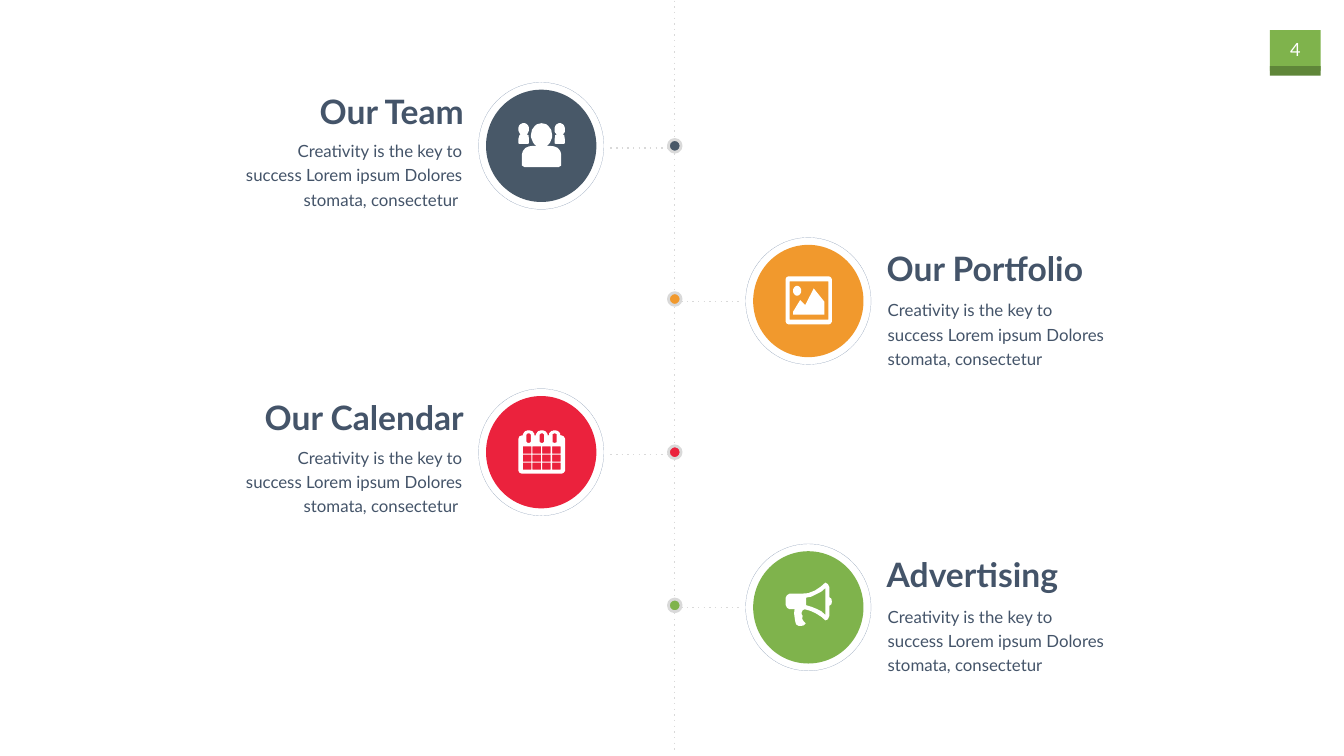
"""Build a four-stop timeline slide with icon discs on both sides of a dotted axis."""
from math import cos, radians, sin

from lxml.etree import SubElement
from pptx import Presentation
from pptx.dml.color import RGBColor
from pptx.enum.dml import MSO_LINE
from pptx.enum.shapes import MSO_CONNECTOR, MSO_SHAPE
from pptx.enum.text import PP_ALIGN
from pptx.oxml.ns import qn
from pptx.util import Cm, Pt

FONT = "Lato"
INK, PALE, EDGE, WHITE = "445469", "D9D9D9", "8497B0", "FFFFFF"
GREEN, MOSS = "7FB34C", "5F8639"
BLURB = "Creativity is the key to success Lorem ipsum Dolores stomata, consectetur"

STOPS = [
    {"title": "Our Team", "blurb": BLURB + " ", "hue": "485868", "wide": 8.48, "icon": "team"},
    {"title": "Our Portfolio", "blurb": BLURB, "hue": "F1992D", "wide": 11.23, "icon": "photo"},
    {"title": "Our Calendar", "blurb": BLURB + " ", "hue": "EB223D", "wide": 11.35, "icon": "dates"},
    {"title": "Advertising", "blurb": BLURB, "hue": GREEN, "wide": 9.93, "icon": "horn"},
]
SIDES = [
    {"sign": -1, "align": PP_ALIGN.RIGHT, "drop": 0, "head": (10.12, -3.02), "body": (10.2, -0.7)},
    {"sign": 1, "align": PP_ALIGN.LEFT, "drop": 0.1, "head": (10.17, -2.92), "body": (10.22, -0.5)},
]
ICON_TOPS = {"team": -1.14, "photo": -1.24, "dates": -1.1, "horn": -1.25}
WIDE, HIGH = 67.72, 38.1
AXIS, FIRST, STEP, REACH = 34, 7.35, 7.72, 6.73
UNIT = 0.0254


def arc(x, y, rx, ry, start=0, end=360):
    """Return points along an ellipse, clockwise from the right."""
    turns = [radians(start + (end - start) * i / 24) for i in range(25)]
    return [(x + rx * cos(t), y + ry * sin(t)) for t in turns]


def box(x, y, w, h):
    """Return the corners of a rectangle."""
    return [(x, y), (x + w, y), (x + w, y + h), (x, y + h)]


def soft(x, y, w, h, r):
    """Return the outline of a rectangle with round corners."""
    spots = [(x + w - r, y + h - r, 0), (x + r, y + h - r, 90),
             (x + r, y + r, 180), (x + w - r, y + r, 270)]
    return [p for cx, cy, a in spots for p in arc(cx, cy, r, r, a, a + 90)]


def person(x, rx, ry, half):
    """Return a head with mirrored shoulders below it."""
    right = [(x + dx, y) for dx, y in half]
    left = [(x - dx, y) for dx, y in reversed(half)]
    return arc(x, ry, rx, ry, 120, 420) + right + left


SMALL = [(6, 22), (9, 24), (10.5, 31), (10.5, 40), (8, 41)]
LARGE = [(18, 45), (25, 46), (32, 49), (37, 55), (39, 62), (39, 84), (34, 87)]
TABS = (20.5, 46.5, 72)
ICONS = {
    "team": [person(10.5, 10.5, 12, SMALL), person(46, 21, 24, LARGE),
             person(82, 10.5, 12, SMALL)],
    "photo": [soft(0, 0, 92, 95, 7), box(8, 10, 77, 76), arc(23, 28.5, 8, 9.5),
              [(77, 76), (15, 76), (15, 70), (29, 47), (39, 57), (56, 24), (77, 50)]],
    "dates": [[(0, 17), (2, 12), (7, 10)]
              + [p for x in TABS for p in arc(x, 10, 11.5, 10, 180, 360)]
              + [(86, 10), (90, 12), (93, 17), (93, 80), (90, 84), (86, 86),
                 (7, 86), (2, 84), (0, 80)]]
             + [soft(x - 4.5, 6, 9, 19, 4) for x in TABS]
             + [box(9 + 19.2 * i, 32 + 16 * j, 17, 14) for i in range(4) for j in range(3)],
    "horn": [[(92, 38), (91, 43), (87, 46), (87, 66), (84, 73), (79, 75), (71, 68), (60, 61),
              (49, 56), (38, 53), (34, 55), (32, 59), (32, 63), (34, 66), (33, 71), (34, 74),
              (37, 78), (40, 81), (36, 85), (31, 86), (26, 86), (21, 83), (19, 76), (18, 69),
              (17, 61), (18, 53), (8, 53), (3, 50), (0, 44), (0, 31), (3, 25), (8, 22),
              (33, 22), (45, 21), (58, 16), (70, 8), (79, 0), (84, 3), (87, 9), (87, 29),
              (91, 32)],
             [(79, 11), (71, 18), (61, 23), (51, 28), (41, 30), (41, 45), (51, 48), (61, 52),
              (71, 57), (79, 64)]],
}


def tint(code):
    """Turn a hex string into a colour."""
    return RGBColor.from_string(code)


def paint(shape, fill=None, line=None, width=0):
    """Set fill and line of a shape and drop its shadow."""
    shape.shadow.inherit = False
    if fill:
        shape.fill.solid()
        shape.fill.fore_color.rgb = tint(fill)
    else:
        shape.fill.background()
    if line:
        shape.line.color.rgb = tint(line)
        shape.line.width = Pt(width)
    else:
        shape.line.fill.background()
    return shape


def rect(slide, x, y, w, h, fill):
    """Add a plain rectangle."""
    paint(slide.shapes.add_shape(MSO_SHAPE.RECTANGLE, Cm(x), Cm(y), Cm(w), Cm(h)), fill)


def oval(slide, x, y, w, h, *look):
    """Add an ellipse around a centre."""
    return paint(slide.shapes.add_shape(
        MSO_SHAPE.OVAL, Cm(x - w / 2), Cm(y - h / 2), Cm(w), Cm(h)), *look)


def dots(slide, x1, y1, x2, y2):
    """Add a pale dotted line."""
    rule = slide.shapes.add_connector(MSO_CONNECTOR.STRAIGHT, Cm(x1), Cm(y1), Cm(x2), Cm(y2))
    rule.line.color.rgb = tint(PALE)
    rule.line.width = Pt(2)
    props = rule._element.spPr
    SubElement(props.find(qn("a:ln")), qn("a:prstDash"), val="dot")
    SubElement(props, qn("a:effectLst"))


def write(slide, text, x, y, w, h, size, hue, align, bold=False, wrap=False, gap=None):
    """Add a one-paragraph text box."""
    frame = slide.shapes.add_textbox(Cm(x), Cm(y), Cm(w), Cm(h)).text_frame
    frame.word_wrap = wrap
    frame.margin_left = frame.margin_right = Cm(0.51)
    frame.margin_top = frame.margin_bottom = Cm(0.25)
    para = frame.paragraphs[0]
    para.text, para.alignment, para.line_spacing = text, align, gap
    para.font.name, para.font.size, para.font.bold = FONT, Pt(size), bold
    para.font.color.rgb = tint(hue)


def draw(slide, loops, x, y):
    """Add a white icon made of closed loops."""
    pen = slide.shapes.build_freeform(*loops[0][0], scale=Cm(1) * UNIT)
    pen.add_line_segments(loops[0][1:])
    for loop in loops[1:]:
        pen.move_to(*loop[0])
        pen.add_line_segments(loop[1:])
    paint(pen.convert_to_shape(Cm(x), Cm(y)), WHITE)


def place(slide, stop, side, y):
    """Add one stop with its dot, branch, disc, icon and texts."""
    sign, mid = side["sign"], y + side["drop"]
    hub = AXIS + sign * REACH
    oval(slide, hub, mid, 5.56, 5.66, stop["hue"])
    ring = oval(slide, hub, mid, 6.32, 6.4, None, EDGE, 0.25)
    ring.line.dash_style = MSO_LINE.SQUARE_DOT
    draw(slide, ICONS[stop["icon"]], hub - 1.15, mid + ICON_TOPS[stop["icon"]])
    oval(slide, AXIS, y, 0.64, 0.64, stop["hue"], PALE, 4)
    ends = sorted((AXIS + sign * 0.32, AXIS + sign * 3.24))
    dots(slide, ends[0], y + 0.11, ends[1], y + 0.11)

    def near(gap, w):
        """Return the left edge of a text box beside the axis."""
        return AXIS + gap if sign > 0 else AXIS - gap - w

    (gap, rise), (inset, fall) = side["head"], side["body"]
    write(slide, stop["title"], near(gap, stop["wide"]), mid + rise, stop["wide"], 2.57,
          48, INK, side["align"], bold=True)
    write(slide, stop["blurb"], near(inset, 12.14), mid + fall, 12.14, 4.17,
          24, INK, side["align"], wrap=True, gap=1.2)


def main():
    """Build and save the slide."""
    deck = Presentation()
    deck.slide_width, deck.slide_height = Cm(WIDE), Cm(HIGH)
    slide = deck.slides.add_slide(deck.slide_layouts[6])
    for y, h, hue in ((1.52, 2.03, GREEN), (3.56, 0.25, MOSS), (3.33, 0.25, MOSS)):
        rect(slide, 63.98, y, 2.57, h, hue)
    write(slide, "4", 64.19, 1.68, 2.16, 1.63, 26, WHITE, PP_ALIGN.CENTER)
    levels = [FIRST + STEP * i for i in range(len(STOPS))]
    starts = [0.03] + [y + 0.38 for y in levels]
    ends = [y - 0.38 for y in levels] + [37.95]
    for top, foot in zip(starts, ends):
        dots(slide, AXIS, top, AXIS, foot)
    for i, (stop, y) in enumerate(zip(STOPS, levels)):
        place(slide, stop, SIDES[i % 2], y)
    deck.save("out.pptx")


if __name__ == "__main__":
    main()
